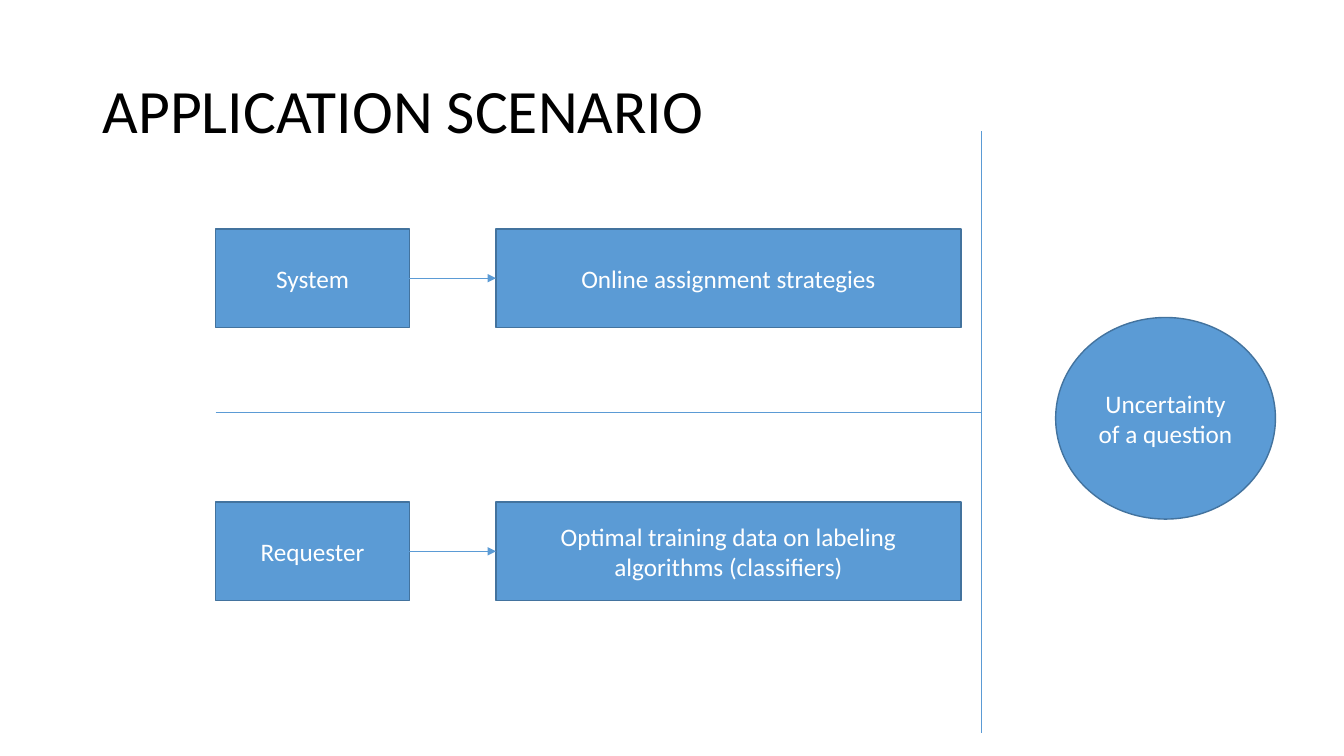
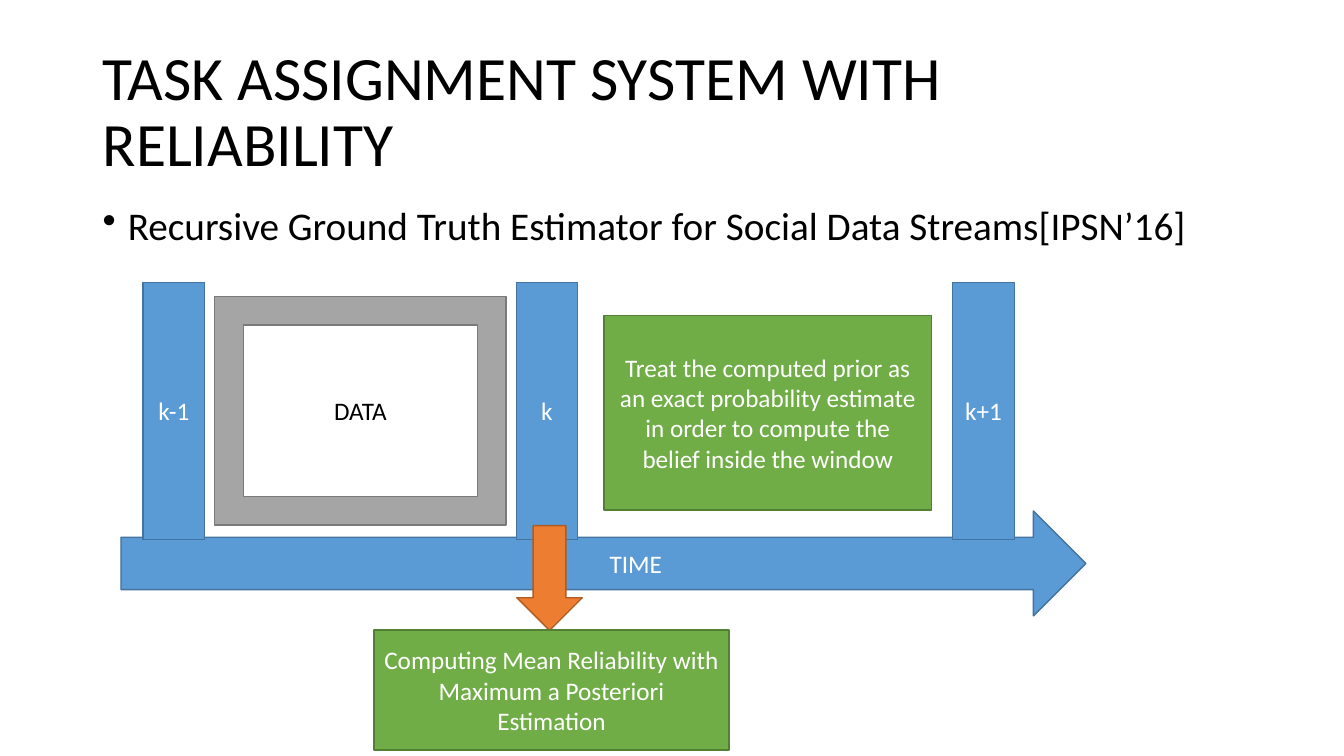
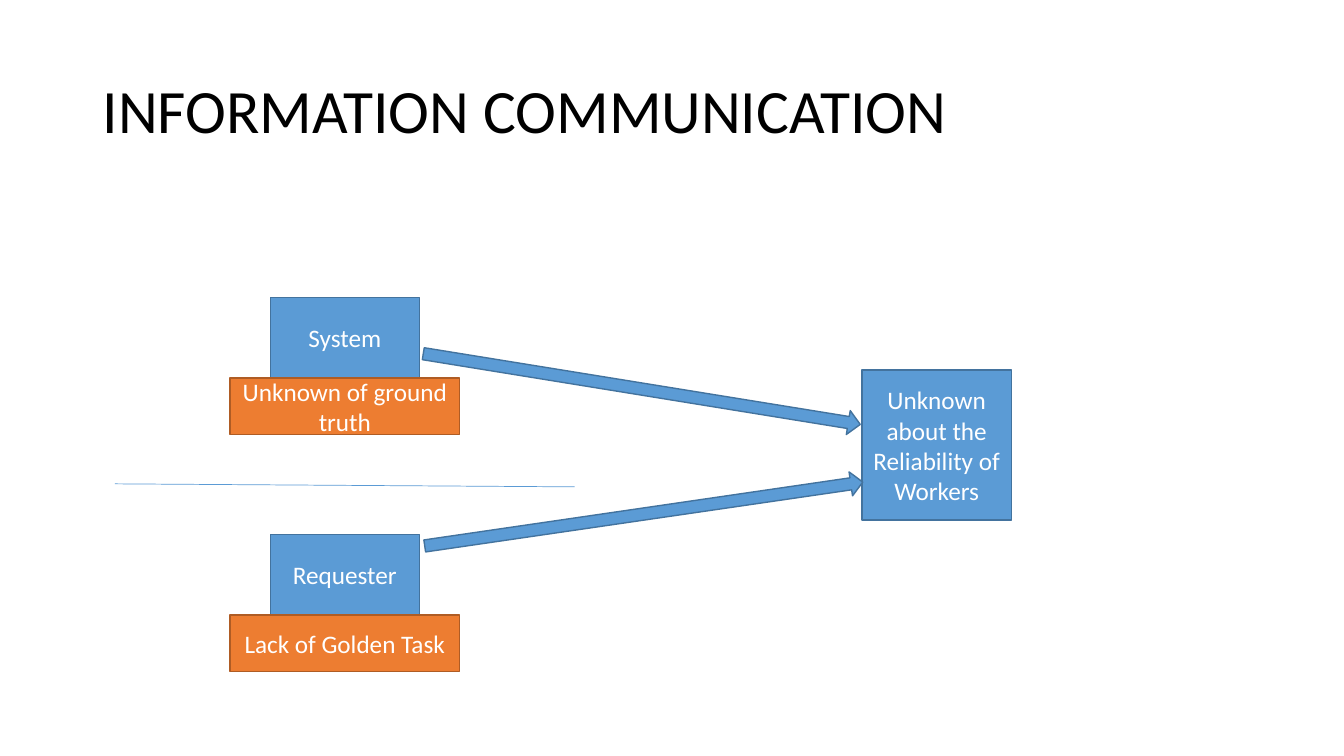
import collections
import dataclasses

import lxml.etree
import pptx
import pptx.dml.color
import pptx.enum.shapes
import pptx.enum.text
import pptx.oxml.ns
import pptx.util

Inches = pptx.util.Inches
Kind = pptx.enum.shapes.MSO_SHAPE
Anchor = pptx.enum.text.MSO_ANCHOR
Align = pptx.enum.text.PP_ALIGN
Box = collections.namedtuple("Box", "left top width height")
Paint = collections.namedtuple("Paint", "fill line")


@dataclasses.dataclass(frozen=True)
class Theme:
    """Colours, font and type sizes shared by all slides."""

    font: str = "Calibri"
    ink: str = "000000"
    paper: str = "FFFFFF"
    blue: Paint = Paint("5B9BD5", "43739E")
    orange: Paint = Paint("ED7D31", "AF5C24")
    green: Paint = Paint("70AD47", "538035")
    grey: Paint = Paint("A5A5A5", "7A7A7A")
    title_size: int = 44
    body_size: int = 28
    label_size: int = 18
    outline: float = 1
    rule: float = 0.5


THEME = Theme()
TITLE_BOX = Box(0.92, 0.4, 11.5, 1.45)


def colour(value):
    """Turn a hex value into a colour."""
    return pptx.dml.color.RGBColor.from_string(value)


def lengths(box):
    """Give the sides of a box as lengths."""
    return [Inches(side) for side in box]


def write(para, text, size, ink):
    """Add one run of text to a paragraph."""
    span = para.add_run()
    span.text = text
    span.font.name = THEME.font
    span.font.size = pptx.util.Pt(size)
    span.font.color.rgb = colour(ink)


def add_text(page, box, text, size, anchor):
    """Place a left-aligned text box and return its paragraph."""
    frame = page.shapes.add_textbox(*lengths(box)).text_frame
    frame.word_wrap = True
    frame.vertical_anchor = anchor
    para = frame.paragraphs[0]
    para.line_spacing = 0.9
    write(para, text, size, THEME.ink)
    return para


def add_bullet(page, box, text):
    """Place one bulleted line of body text."""
    para = add_text(page, box, text, THEME.body_size, Anchor.TOP)
    para.space_before = pptx.util.Pt(10)
    properties = para._p.get_or_add_pPr()
    properties.set("marL", str(Inches(0.25)))
    properties.set("indent", str(-Inches(0.25)))
    bullet = lxml.etree.SubElement(properties, pptx.oxml.ns.qn("a:buChar"))
    bullet.set("char", "•")


def add_figure(page, box, text="", paint=THEME.blue, kind=Kind.RECTANGLE,
               ink=THEME.paper, turn=0):
    """Place a filled shape with a centred label."""
    figure = page.shapes.add_shape(kind, *lengths(box))
    figure.shadow.inherit = False
    figure.rotation = turn
    figure.fill.solid()
    figure.fill.fore_color.rgb = colour(paint.fill)
    figure.line.color.rgb = colour(paint.line)
    figure.line.width = pptx.util.Pt(THEME.outline)
    if text:
        frame = figure.text_frame
        frame.word_wrap = True
        frame.vertical_anchor = Anchor.MIDDLE
        para = frame.paragraphs[0]
        para.alignment = Align.CENTER
        write(para, text, THEME.label_size, ink)
    return figure


def add_line(page, start, end, arrow=False):
    """Draw a thin straight line, with an arrowhead if asked."""
    points = [Inches(value) for value in (*start, *end)]
    line = page.shapes.add_connector(
        pptx.enum.shapes.MSO_CONNECTOR.STRAIGHT, *points)
    line.line.color.rgb = colour(THEME.blue.fill)
    line.line.width = pptx.util.Pt(THEME.rule)
    properties = line._element.spPr
    if arrow:
        outline = properties.find(pptx.oxml.ns.qn("a:ln"))
        head = lxml.etree.SubElement(outline, pptx.oxml.ns.qn("a:tailEnd"))
        head.set("type", "triangle")
    lxml.etree.SubElement(properties, pptx.oxml.ns.qn("a:effectLst"))


def add_page(deck, title):
    """Start a blank slide with the shared title style."""
    page = deck.slides.add_slide(deck.slide_layouts[6])
    add_text(page, TITLE_BOX, title, THEME.title_size, Anchor.MIDDLE)
    return page


def add_lane(page, box, actor, goal):
    """Place an actor with an arrow to its goal."""
    actor_width, goal_offset = 1.92, 2.78
    goal_left = box.left + goal_offset
    middle = box.top + box.height / 2
    add_figure(page, box._replace(width=actor_width), actor)
    add_figure(page, box._replace(left=goal_left, width=box.width - goal_offset), goal)
    add_line(page, (box.left + actor_width, middle), (goal_left, middle), arrow=True)


def add_timeline(page, box):
    """Place the time arrow, its window marks and the steps around it."""
    left, top = box.left, box.top
    axis = add_figure(page, Box(left, top + 2.27, box.width, 1.04), "TIME",
                      kind=Kind.RIGHT_ARROW)
    axis.text_frame.margin_left = Inches(1)
    for offset, mark in ((0.22, "k-1"), (3.92, "k"), (8.25, "k+1")):
        add_figure(page, Box(left + offset, top, 0.61, 2.55), mark)
    add_figure(page, Box(left + 0.93, top + 0.14, 2.89, 2.27), "DATA",
               THEME.grey, Kind.FRAME, THEME.ink)
    add_figure(page, Box(left + 3.73, top + 2.61, 1.04, 0.65), paint=THEME.orange,
               kind=Kind.RIGHT_ARROW, turn=90)
    add_figure(page, Box(left + 4.79, top + 0.33, 3.25, 1.93),
               "Treat the computed prior as an exact probability estimate "
               "in order to compute the belief inside the window", THEME.green)
    add_figure(page, Box(left + 2.51, top + 3.45, 3.52, 1.19),
               "Computing Mean Reliability with Maximum a Posteriori Estimation",
               THEME.green)


def add_party(page, box, name, gap):
    """Place a party with the gap in its knowledge below it."""
    inset, gap_height = 0.4, 0.56
    name_height = box.height - gap_height
    add_figure(page, Box(box.left + inset, box.top, box.width - 2 * inset, name_height),
               name)
    add_figure(page, Box(box.left, box.top + name_height, box.width, gap_height),
               gap, THEME.orange)


def build_scenario(deck):
    """Build the application scenario slide."""
    page = add_page(deck, "APPLICATION SCENARIO")
    lanes = (
        (2.27, "System", "Online assignment strategies"),
        (4.98, "Requester", "Optimal training data on labeling algorithms (classifiers)"),
    )
    for top, actor, goal in lanes:
        add_lane(page, Box(2.14, top, 7.39, 0.98), actor, goal)
    add_line(page, (2.14, 4.09), (9.73, 4.09))
    add_line(page, (9.73, 1.3), (9.73, 7.27))
    add_figure(page, Box(10.47, 3.15, 2.18, 2), "Uncertainty of a question",
               kind=Kind.OVAL)


def build_assignment(deck):
    """Build the task assignment slide."""
    page = add_page(deck, "TASK ASSIGNMENT SYSTEM WITH RELIABILITY")
    add_bullet(page, Box(0.92, 2, 11.5, 4.76),
               "Recursive Ground Truth Estimator for Social Data Streams[IPSN’16]")
    add_timeline(page, Box(1.2, 2.8, 9.57, 4.64))


def build_communication(deck):
    """Build the information communication slide."""
    page = add_page(deck, "INFORMATION COMMUNICATION")
    parties = ((2.95, "System", "Unknown of ground truth"),
               (5.3, "Requester", "Lack of Golden Task"))
    for top, name, gap in parties:
        add_party(page, Box(2.28, top, 2.28, 1.36), name, gap)
    add_figure(page, Box(8.55, 3.67, 1.48, 1.49),
               "Unknown about the Reliability of Workers")
    for left, top, turn in ((4.17, 3.74, 9.2), (4.19, 4.98, 351.7)):
        add_figure(page, Box(left, top, 4.39, 0.24), kind=Kind.RIGHT_ARROW, turn=turn)
    add_line(page, (5.7, 4.83), (1.14, 4.8))


def main():
    """Build and save the deck."""
    deck = pptx.Presentation()
    deck.slide_width = Inches(13.33)
    deck.slide_height = Inches(7.5)
    build_scenario(deck)
    build_assignment(deck)
    build_communication(deck)
    deck.save("out.pptx")


if __name__ == "__main__":
    main()
